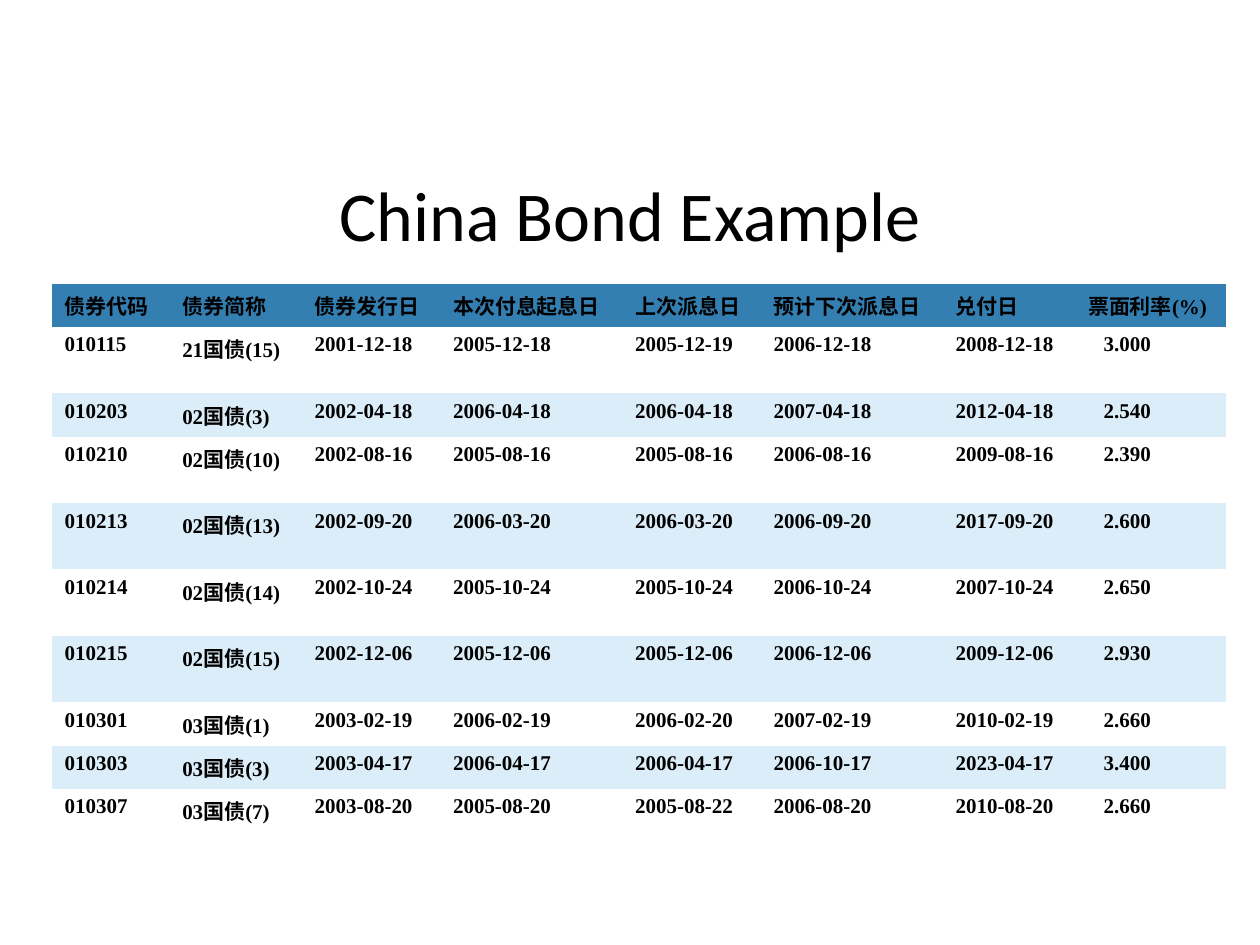
import dataclasses

import pptx
import pptx.dml.color
import pptx.enum.text
import pptx.oxml.ns
import pptx.slide
import pptx.table
import pptx.text.text
import pptx.util

Cm = pptx.util.Cm

COLOURS = {"text": "000000", "header": "337FB2", "plain": "FFFFFF", "band": "DBEDF8"}
TITLE_FORMAT = {"name": "Calibri", "size": pptx.util.Pt(40)}
CELL_FORMAT = {"name": "Times New Roman", "size": pptx.util.Pt(12), "bold": True}
NO_GRID_STYLE = "{2D5ABB26-0587-4C30-8999-92F81FD0307C}"

HEADINGS = ("债券代码", "债券简称", "债券发行日", "本次付息起息日",
            "上次派息日", "预计下次派息日", "兑付日", "票面利率(%)")
COLUMN_WIDTHS = (2.37, 2.67, 2.79, 3.67, 2.79, 3.67, 2.67, 3.04)
ONE_LINE_HEIGHT, TWO_LINE_HEIGHT = 0.87, 1.34
LONGEST_ONE_LINE_NAME = 7
RATE_MARGIN = 0.57


@dataclasses.dataclass(frozen=True)
class Bond:
    code: str
    name: str
    issued: str
    interest_from: str
    last_paid: str
    next_paid: str
    redeemed: str
    rate: str


BONDS = (
    Bond("010115", "21国债(15)", "2001-12-18", "2005-12-18", "2005-12-19", "2006-12-18", "2008-12-18", "3.000"),
    Bond("010203", "02国债(3)", "2002-04-18", "2006-04-18", "2006-04-18", "2007-04-18", "2012-04-18", "2.540"),
    Bond("010210", "02国债(10)", "2002-08-16", "2005-08-16", "2005-08-16", "2006-08-16", "2009-08-16", "2.390"),
    Bond("010213", "02国债(13)", "2002-09-20", "2006-03-20", "2006-03-20", "2006-09-20", "2017-09-20", "2.600"),
    Bond("010214", "02国债(14)", "2002-10-24", "2005-10-24", "2005-10-24", "2006-10-24", "2007-10-24", "2.650"),
    Bond("010215", "02国债(15)", "2002-12-06", "2005-12-06", "2005-12-06", "2006-12-06", "2009-12-06", "2.930"),
    Bond("010301", "03国债(1)", "2003-02-19", "2006-02-19", "2006-02-20", "2007-02-19", "2010-02-19", "2.660"),
    Bond("010303", "03国债(3)", "2003-04-17", "2006-04-17", "2006-04-17", "2006-10-17", "2023-04-17", "3.400"),
    Bond("010307", "03国债(7)", "2003-08-20", "2005-08-20", "2005-08-22", "2006-08-20", "2010-08-20", "2.660"),
)


def colour(key: str) -> pptx.dml.color.RGBColor:
    return pptx.dml.color.RGBColor.from_string(COLOURS[key])


def write(para: pptx.text.text._Paragraph, text: str, font_format: dict) -> None:
    span = para.add_run()
    span.text = text
    for attribute, value in font_format.items():
        setattr(span.font, attribute, value)
    span.font.color.rgb = colour("text")


def add_title(slide: pptx.slide.Slide, text: str) -> None:
    box = slide.shapes.add_textbox(Cm(0.89), Cm(3.81), Cm(23.62), Cm(0.99))
    box.text_frame.word_wrap = True
    box.text_frame.vertical_anchor = pptx.enum.text.MSO_ANCHOR.MIDDLE
    para = box.text_frame.paragraphs[0]
    para.alignment = pptx.enum.text.PP_ALIGN.CENTER
    write(para, text, TITLE_FORMAT)


def fill_row(table: pptx.table.Table, index: int, texts: tuple, fill: str) -> None:
    for cell, text in zip(table.rows[index].cells, texts):
        cell.fill.solid()
        cell.fill.fore_color.rgb = colour(fill)
        write(cell.text_frame.paragraphs[0], text, CELL_FORMAT)


def add_bond_table(slide: pptx.slide.Slide, bonds: tuple) -> None:
    heights = [ONE_LINE_HEIGHT] + [
        TWO_LINE_HEIGHT if len(bond.name) > LONGEST_ONE_LINE_NAME else ONE_LINE_HEIGHT
        for bond in bonds
    ]
    frame = slide.shapes.add_table(len(heights), len(HEADINGS), Cm(1.05), Cm(5.72),
                                   Cm(sum(COLUMN_WIDTHS)), Cm(sum(heights)))
    table = frame.table
    table.first_row = table.horz_banding = False
    table._tbl.tblPr.find(pptx.oxml.ns.qn("a:tableStyleId")).text = NO_GRID_STYLE
    for column, width in zip(table.columns, COLUMN_WIDTHS):
        column.width = Cm(width)
    for row, height in zip(table.rows, heights):
        row.height = Cm(height)

    fill_row(table, 0, HEADINGS, "header")
    for index, bond in enumerate(bonds, start=1):
        fill_row(table, index, dataclasses.astuple(bond), "plain" if index % 2 else "band")
        table.cell(index, len(HEADINGS) - 1).margin_left = Cm(RATE_MARGIN)


def main() -> None:
    deck = pptx.Presentation()
    deck.slide_width, deck.slide_height = Cm(25.4), Cm(19.05)
    slide = deck.slides.add_slide(deck.slide_layouts[6])
    add_title(slide, "China Bond Example")
    add_bond_table(slide, BONDS)
    deck.save("out.pptx")


if __name__ == "__main__":
    main()
